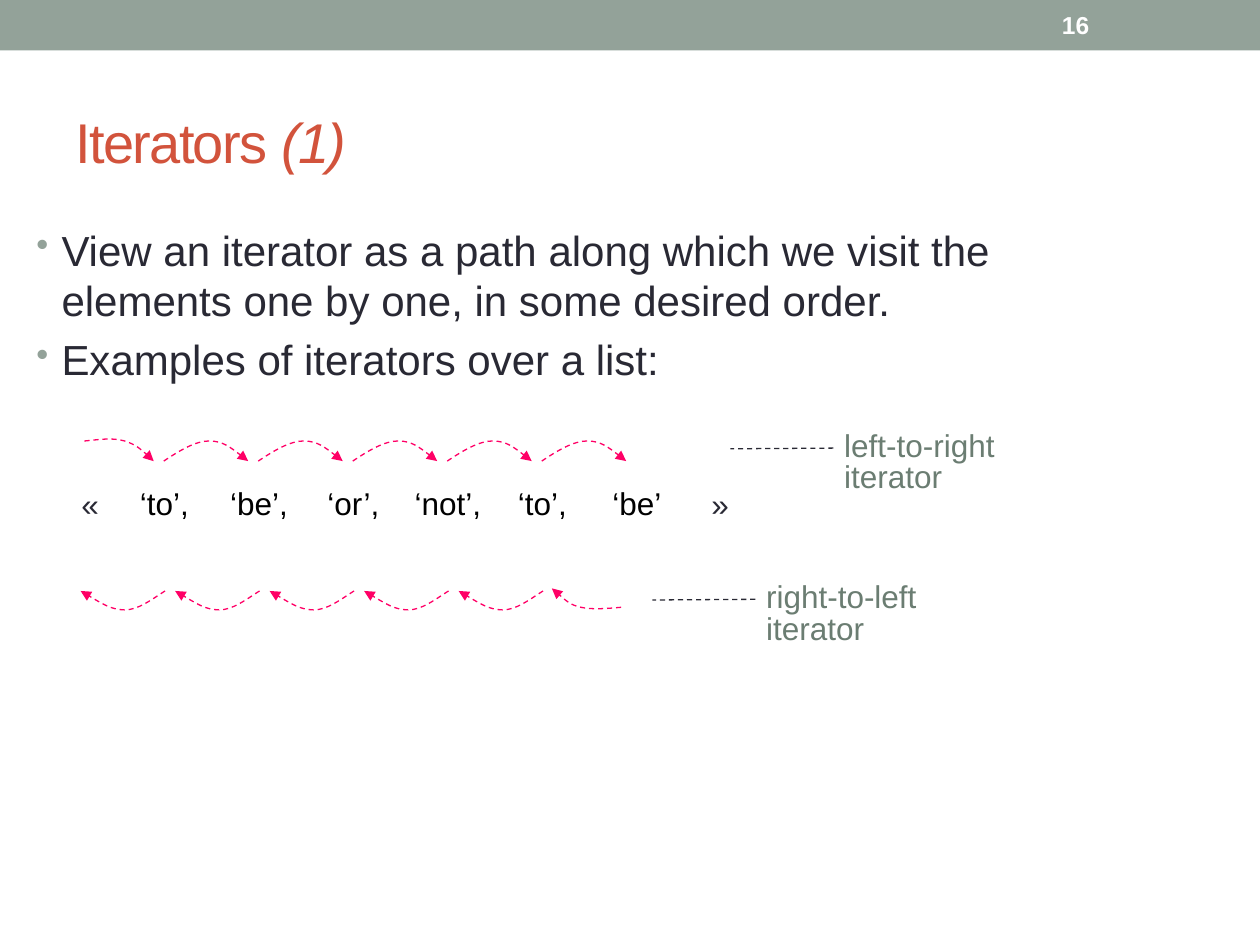
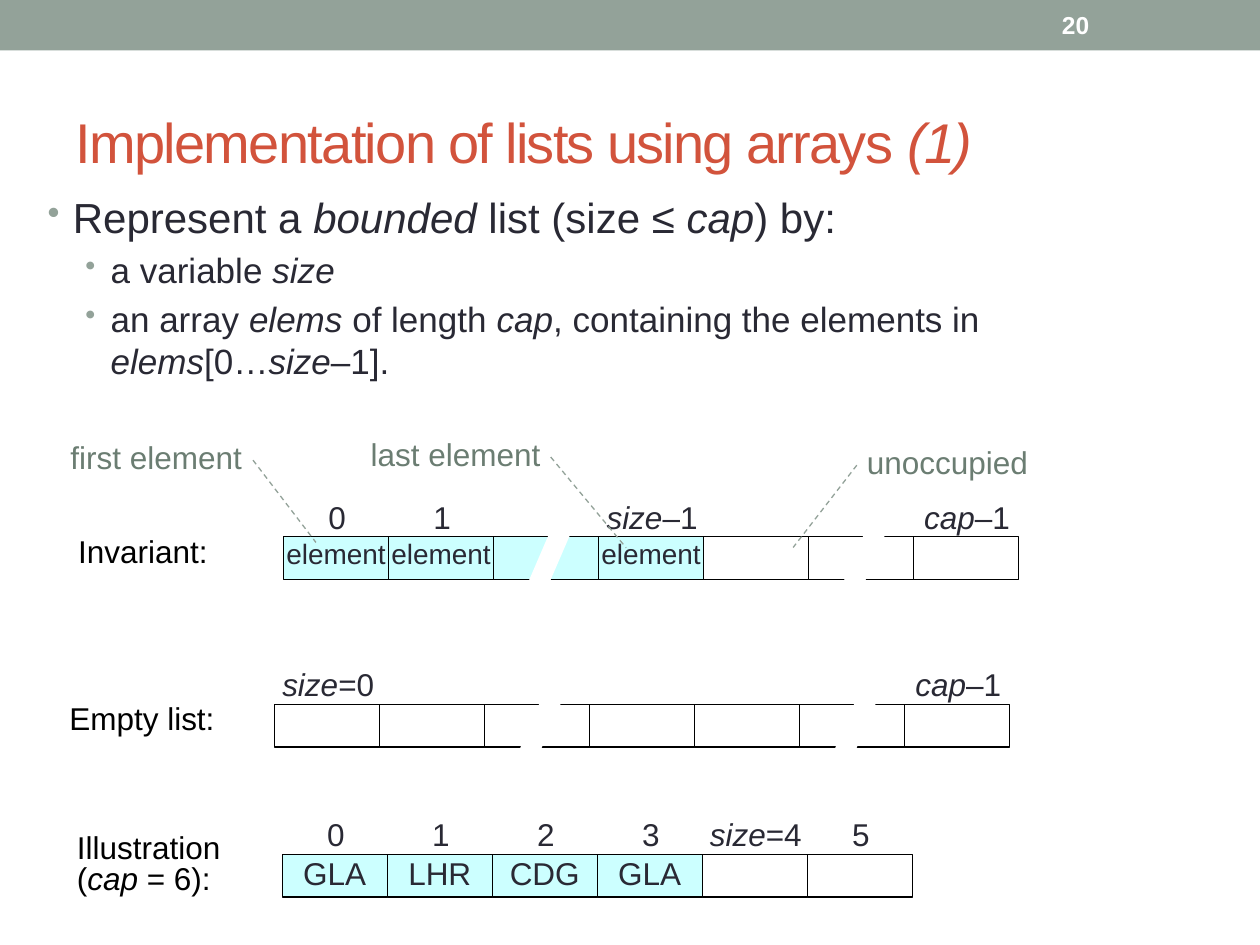
from pptx import Presentation
from pptx.dml.color import RGBColor
from pptx.enum.dml import MSO_LINE
from pptx.enum.shapes import MSO_SHAPE
from pptx.enum.text import MSO_ANCHOR, PP_ALIGN
from pptx.oxml.ns import qn
from pptx.oxml.xmlchemy import OxmlElement
from pptx.util import Inches, Pt

COLORS = {
    "band": "93A299", "title": "D2533C", "text": "292934", "note": "6B7D72",
    "black": "000000", "white": "FFFFFF", "arrow": "FF0066", "cell": "CCFFFF",
}
FONT = "Arial"
CELL_WIDTH = 5 / 6
CELL_HEIGHT = 0.34
BREAK_CELLS = (2, 5)
ARC_STEP = 0.75


def rgb(name):
    """Return the named colour."""
    return RGBColor.from_string(COLORS[name])


def shifted(points, left, top):
    """Move points by the given offset."""
    return [(left + x, top + y) for x, y in points]


class SlideBuilder:
    """Holds the shared style and the current slide."""

    def __init__(self, deck):
        self.deck = deck
        self.page = None

    def start(self, title, number):
        """Add a slide with its band, page number and title."""
        self.page = self.deck.slides.add_slide(self.deck.slide_layouts[5])
        self.box(0, 0, 10, 0.4, "band")
        self.text(8.33, 0.02, 1.17, 0.36, number, size=14, color="white",
                  bold=True, inset=None, anchor=MSO_ANCHOR.MIDDLE)
        holder = self.page.shapes.title
        holder.left, holder.top = Inches(0.5), Inches(0.58)
        holder.width, holder.height = Inches(9), Inches(1.08)
        holder.text_frame.vertical_anchor = MSO_ANCHOR.MIDDLE
        para = holder.text_frame.paragraphs[0]
        self.set_text(para, title, 32, "title")
        for span in para.runs:
            span.font._element.set("spc", "-100")

    def set_text(self, para, text, size=18, color="text", align=PP_ALIGN.LEFT,
                 spacing=None, bold=False):
        """Fill a paragraph; *stars* enclose italic words."""
        for row, line in enumerate(text.split("\n")):
            if row:
                para.add_line_break()
            for index, part in enumerate(line.split("*")):
                if part:
                    span = para.add_run()
                    span.text = part
                    if index % 2:
                        span.font.italic = True
        para.alignment = align
        if spacing:
            para.line_spacing = Pt(spacing)
        para.font.name = FONT
        para.font.size = Pt(size)
        para.font.bold = bold
        para.font.color.rgb = rgb(color)

    def frame(self, shape, inset=0, anchor=MSO_ANCHOR.TOP):
        """Prepare the text frame of a shape and return it."""
        frame = shape.text_frame
        frame.word_wrap = True
        frame.vertical_anchor = anchor
        if inset is not None:
            frame.margin_left = frame.margin_right = Inches(inset)
            frame.margin_top = frame.margin_bottom = Inches(inset)
        return frame

    def text(self, left, top, width, height, text, inset=0,
             anchor=MSO_ANCHOR.TOP, **style):
        """Add a text box with one paragraph."""
        box = self.page.shapes.add_textbox(
            Inches(left), Inches(top), Inches(width), Inches(height))
        frame = self.frame(box, inset, anchor)
        self.set_text(frame.paragraphs[0], text, **style)

    def bullets(self, left, top, items):
        """Add the bulleted body from (level, text) pairs."""
        box = self.page.shapes.add_textbox(
            Inches(left), Inches(top), Inches(8.33), Inches(5.25))
        frame = self.frame(box, inset=None)
        for index, (level, text) in enumerate(items):
            para = frame.add_paragraph() if index else frame.paragraphs[0]
            size = 24 - 4 * level
            self.set_text(para, text, size)
            para.level = level
            para.space_before = Pt(0.2 * size)
            self.bullet(para, 0.2 + 0.3 * level)

    def bullet(self, para, indent):
        """Give a paragraph a hanging bullet."""
        props = para._p.get_or_add_pPr()
        props.set("marL", str(Inches(indent)))
        props.set("indent", str(Inches(-0.2)))
        color = OxmlElement("a:buClr")
        value = OxmlElement("a:srgbClr")
        value.set("val", COLORS["band"])
        color.append(value)
        size = OxmlElement("a:buSzPct")
        size.set("val", "85000")
        char = OxmlElement("a:buChar")
        char.set("char", "•")
        for child in (color, size, char):
            props.find(qn("a:defRPr")).addprevious(child)

    def paint(self, shape, fill=None, line=None, dashed=False):
        """Set the fill and outline of a shape and remove its shadow."""
        shape.shadow.inherit = False
        if fill:
            shape.fill.solid()
            shape.fill.fore_color.rgb = rgb(fill)
        else:
            shape.fill.background()
        if line:
            shape.line.color.rgb = rgb(line)
            shape.line.width = Pt(0.75)
        else:
            shape.line.fill.background()
        if dashed:
            shape.line.dash_style = MSO_LINE.DASH

    def box(self, left, top, width, height, fill, line=None, text="", size=18):
        """Add a rectangle, with centred text if given."""
        shape = self.page.shapes.add_shape(
            MSO_SHAPE.RECTANGLE,
            Inches(left), Inches(top), Inches(width), Inches(height))
        self.paint(shape, fill, line)
        if text:
            self.set_text(self.frame(shape).paragraphs[0], text, size,
                          align=PP_ALIGN.CENTER)

    def callout(self, left, top, width, height, text, adjust, line="band",
                align=PP_ALIGN.LEFT):
        """Add a borderless note with a dashed leader line."""
        shape = self.page.shapes.add_shape(
            MSO_SHAPE.LINE_CALLOUT_1_NO_BORDER,
            Inches(left), Inches(top), Inches(width), Inches(height))
        for index, value in enumerate(adjust):
            shape.adjustments[index] = value
        self.paint(shape, line=line, dashed=True)
        self.set_text(self.frame(shape).paragraphs[0], text, color="note",
                      align=align, spacing=18)

    def outline(self, points, closed):
        """Add a freeform through the points."""
        corners = [(Inches(x), Inches(y)) for x, y in points]
        builder = self.page.shapes.build_freeform(*corners[0])
        builder.add_line_segments(corners[1:], close=closed)
        return builder.convert_to_shape()

    def curve(self, points):
        """Add a dashed Bezier arrow; each three points make one segment."""
        shape = self.outline(points, closed=False)
        steps = list(shape._element.iter(qn("a:lnTo")))
        for start in range(0, len(steps), 3):
            bezier = OxmlElement("a:cubicBezTo")
            steps[start].addprevious(bezier)
            for step in steps[start:start + 3]:
                bezier.append(step[0])
                step.getparent().remove(step)
        self.paint(shape, line="arrow", dashed=True)
        head = OxmlElement("a:tailEnd")
        head.set("type", "triangle")
        shape.line._get_or_add_ln().append(head)

    def array(self, left, top, caption, cells, labels, filled=0, size=18,
              broken=True, caption_shift=0.01):
        """Draw an array: caption, cells, break marks and index labels."""
        self.text(left - 1.63, top + caption_shift, 1.22, 0.25, caption,
                  color="black", spacing=18)
        for index, text in enumerate(cells):
            self.box(left + index * CELL_WIDTH, top, CELL_WIDTH, CELL_HEIGHT,
                     "cell" if index < filled else "white", "black", text, size)
        for index in BREAK_CELLS if broken else ():
            slash = [(0.25, 0), (0, 0.58), (0.17, 0.58), (0.42, 0)]
            mark = self.outline(
                shifted(slash, left + index * CELL_WIDTH + 0.25, top - 0.16),
                closed=True)
            self.paint(mark, "white")
        for index, text in labels.items():
            extra = 0.08 if "size" in text else 0
            self.text(left + index * CELL_WIDTH - extra, top - 0.26,
                      0.85 + 2 * extra, 0.22, text,
                      align=PP_ALIGN.CENTER, spacing=18)


def iterators(builder):
    """Build the slide on list iterators."""
    builder.start("Iterators *(1)*", "16")
    builder.bullets(0.19, 1.73, [
        (0, "View an iterator as a path along which we visit the elements "
            "one by one, in some desired order."),
        (0, "Examples of iterators over a list:"),
    ])
    words = ["‘to’,", "‘be’,", "‘or’,", "‘not’,", "‘to’,", "‘be’"]
    for index, word in enumerate(words):
        builder.text(0.97 + index * ARC_STEP, 3.84, 0.67, 0.3, word,
                     color="black", align=PP_ALIGN.CENTER)
    for left, mark in ((0.55, "«"), (5.55, "»")):
        builder.text(left, 3.85, 0.33, 0.3, mark, align=PP_ALIGN.CENTER)

    forward = [(0, 0.16), (0.12, 0.08), (0.25, 0), (0.36, 0),
               (0.47, 0), (0.57, 0.08), (0.67, 0.16)]
    backward = [(0.67, 0), (0.56, 0.07), (0.46, 0.15), (0.35, 0.15),
                (0.24, 0.15), (0.12, 0.07), (0, 0)]
    for index in range(len(words) - 1):
        builder.curve(shifted(forward, 1.3 + index * ARC_STEP, 3.5))
        builder.curve(shifted(backward, 0.64 + index * ARC_STEP, 4.69))
    builder.curve([(0.67, 3.5), (0.78, 3.49), (0.89, 3.47), (0.99, 3.5),
                   (1.08, 3.53), (1.15, 3.59), (1.22, 3.66)])
    builder.curve([(4.93, 4.82), (4.82, 4.83), (4.7, 4.84), (4.61, 4.82),
                   (4.52, 4.8), (4.45, 4.73), (4.38, 4.67)])
    for left, top, text in ((6.7, 3.43, "left-to-right iterator"),
                            (6.08, 4.63, "right-to-left iterator")):
        builder.callout(left, top, 1.22, 0.55, text,
                        (0.23, -0.07, 0.24, -0.74), line="text")


def array_lists(builder):
    """Build the slide on lists held in arrays."""
    builder.start("Implementation of lists using arrays *(1)*", "20")
    builder.bullets(0.28, 1.47, [
        (0, "Represent a *bounded* list (size ≤ *cap*) by:"),
        (1, "a variable *size*"),
        (1, "an array *elems* of length *cap*, containing the elements in "
            "*elems*[0…*size*–1]."),
    ])
    builder.array(2.24, 6.78, "Illustration\n(*cap* = 6):",
                  ["GLA", "LHR", "CDG", "GLA", "", ""],
                  {0: "0", 1: "1", 2: "2", 3: "3", 4: "*size*=4", 5: "5"},
                  filled=4, broken=False, caption_shift=-0.16)
    builder.array(2.18, 5.59, "Empty list:", [""] * 7,
                  {0: "*size*=0", 6: "*cap*–1"})
    builder.array(2.25, 4.26, "Invariant:",
                  ["element", "element", "", "element", "", "", ""],
                  {0: "0", 1: "1", 3: "*size*–1", 6: "*cap*–1"},
                  filled=4, size=16)
    builder.callout(2.93, 3.5, 1.36, 0.25, "last element",
                    (0.51, 1.06, 3.39, 1.5), align=PP_ALIGN.RIGHT)
    builder.callout(6.88, 3.57, 1.33, 0.24, "unoccupied",
                    (0.51, -0.06, 3.23, -0.44))
    builder.callout(0.45, 3.53, 1.47, 0.24, "first element",
                    (0.51, 1.06, 3.23, 1.4), align=PP_ALIGN.RIGHT)


deck = Presentation()
deck.slide_width, deck.slide_height = Inches(10), Inches(7.5)
builder = SlideBuilder(deck)
iterators(builder)
array_lists(builder)
deck.save("out.pptx")
